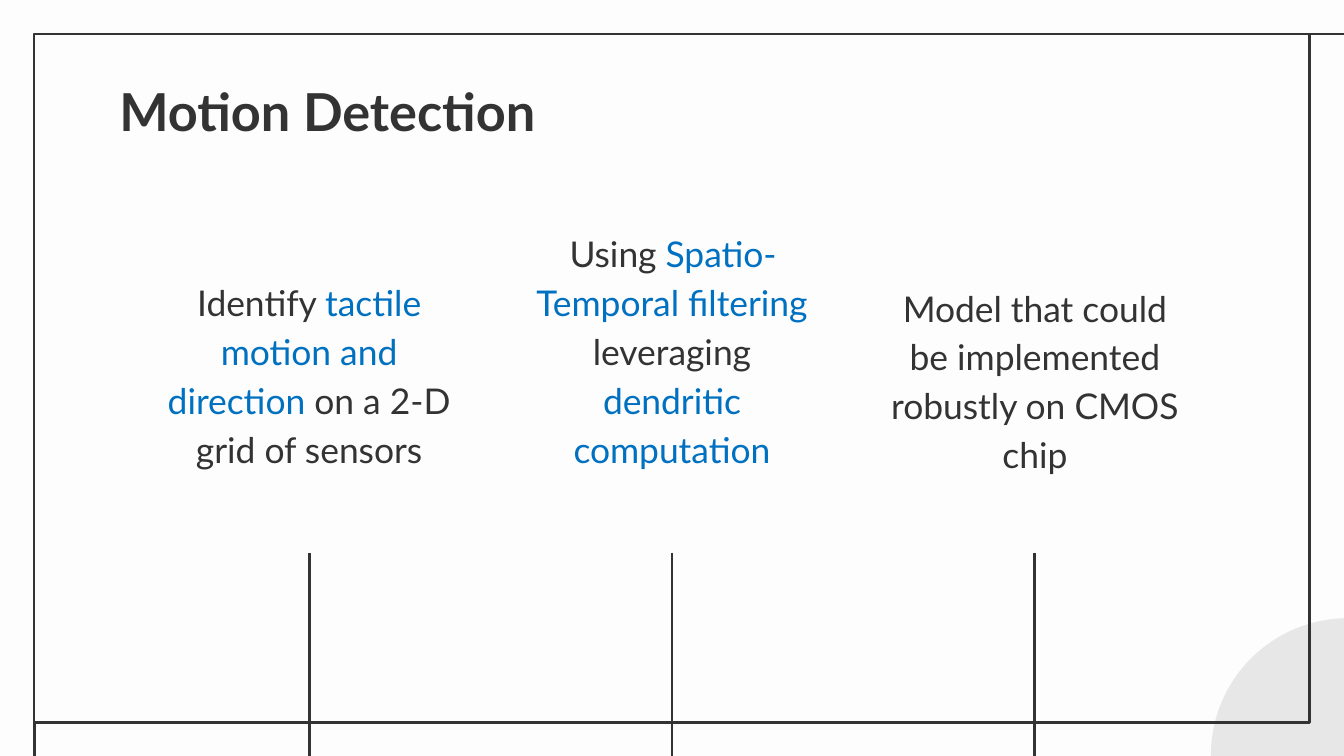
from dataclasses import dataclass

from lxml.etree import SubElement
from pptx import Presentation
from pptx.dml.color import RGBColor
from pptx.enum.shapes import MSO_CONNECTOR, MSO_SHAPE
from pptx.enum.text import MSO_ANCHOR, PP_ALIGN
from pptx.oxml.ns import qn
from pptx.slide import Slide
from pptx.util import Pt


@dataclass(frozen=True)
class Theme:
    background: RGBColor = RGBColor(0xFD, 0xFD, 0xFD)
    ink: RGBColor = RGBColor(0x33, 0x33, 0x33)
    accent: RGBColor = RGBColor(0x00, 0x70, 0xC0)
    disc: RGBColor = RGBColor(0xE8, 0xE7, 0xE7)
    font: str = "Lato"
    title_size: float = 28
    body_size: float = 19
    line_width: float = 1.5
    inset: float = 7.2


@dataclass(frozen=True)
class Span:
    text: str
    color: RGBColor


@dataclass(frozen=True)
class Column:
    """A text block that stands on its bottom edge, centred on a column axis."""
    width: float
    height: float
    bottom: float
    spans: tuple[Span, ...]


@dataclass(frozen=True)
class Line:
    x1: float
    y1: float
    x2: float
    y2: float


THEME = Theme()
SLIDE_WIDTH, SLIDE_HEIGHT = 720, 405
COLUMN_STEP = 194.4
STEM_TOP, STEM_BOTTOM = 296, 409.5
FRAME_LINES = (Line(725.8, 18.2, 702, 18.2), Line(18.6, 387, 18.6, 412))
COLUMNS = (
    Column(182, 125.3, 259.2, (
        Span("Identify ", THEME.ink),
        Span("tactile motion and direction ", THEME.accent),
        Span("on a 2-D grid of sensors", THEME.ink),
    )),
    Column(176.4, 113.8, 259.2, (
        Span("Using ", THEME.ink),
        Span("Spatio-Temporal filtering ", THEME.accent),
        Span("leveraging ", THEME.ink),
        Span("dendritic computation", THEME.accent),
    )),
    Column(176.4, 118.8, 262.1, (
        Span("Model that could be implemented robustly on CMOS chip", THEME.ink),
    )),
)


def set_attributes(target: object, values: dict) -> None:
    for name, value in values.items():
        setattr(target, name, value)


def add_text(page: Slide, left: float, top: float, width: float, height: float,
             spans: tuple[Span, ...], font_format: dict,
             paragraph_format: dict, anchor: MSO_ANCHOR) -> None:
    box = page.shapes.add_textbox(Pt(left), Pt(top), Pt(width), Pt(height))
    margins = {f"margin_{side}": Pt(THEME.inset)
               for side in ("left", "top", "right", "bottom")}
    set_attributes(box.text_frame,
                   {"word_wrap": True, "vertical_anchor": anchor, **margins})
    para = box.text_frame.paragraphs[0]
    set_attributes(para, paragraph_format)
    for span in spans:
        run = para.add_run()
        run.text = span.text
        set_attributes(run.font, {"name": THEME.font, **font_format})
        run.font.color.rgb = span.color


def add_line(page: Slide, line: Line) -> None:
    connector = page.shapes.add_connector(
        MSO_CONNECTOR.STRAIGHT, Pt(line.x1), Pt(line.y1), Pt(line.x2), Pt(line.y2))
    connector.line.color.rgb = THEME.ink
    connector.line.width = Pt(THEME.line_width)
    SubElement(connector._element.spPr, qn("a:effectLst"))


def add_backdrop(page: Slide) -> None:
    """Draw the corner disc, the frame and the lines that run off the page."""
    page.background.fill.solid()
    page.background.fill.fore_color.rgb = THEME.background

    disc = page.shapes.add_shape(MSO_SHAPE.OVAL, Pt(648.7), Pt(331.2), Pt(146.9), Pt(146.9))
    disc.shadow.inherit = False
    disc.fill.solid()
    disc.fill.fore_color.rgb = THEME.disc
    disc.line.fill.background()

    frame = page.shapes.add_shape(MSO_SHAPE.RECTANGLE, Pt(18.2), Pt(18.2), Pt(683.4), Pt(368.8))
    frame.shadow.inherit = False
    frame.fill.background()
    frame.line.color.rgb = THEME.ink
    frame.line.width = Pt(THEME.line_width)

    for line in FRAME_LINES:
        add_line(page, line)


def add_column(page: Slide, column: Column, axis: float) -> None:
    add_text(page, axis - column.width / 2, column.bottom - column.height,
             column.width, column.height, column.spans,
             {"size": Pt(THEME.body_size)},
             {"alignment": PP_ALIGN.CENTER, "line_spacing": 1.15},
             MSO_ANCHOR.BOTTOM)
    add_line(page, Line(axis, STEM_TOP, axis, STEM_BOTTOM))


def main() -> None:
    deck = Presentation()
    set_attributes(deck, {"slide_width": Pt(SLIDE_WIDTH), "slide_height": Pt(SLIDE_HEIGHT)})
    page = deck.slides.add_slide(deck.slide_layouts[6])

    add_backdrop(page)
    add_text(page, 56.9, 35.3, 607, 45.4, (Span("Motion Detection", THEME.ink),),
             {"size": Pt(THEME.title_size), "bold": True},
             {"alignment": PP_ALIGN.LEFT}, MSO_ANCHOR.TOP)
    for index, column in enumerate(COLUMNS):
        add_column(page, column, SLIDE_WIDTH / 2 + (index - 1) * COLUMN_STEP)

    deck.save("out.pptx")


if __name__ == "__main__":
    main()
